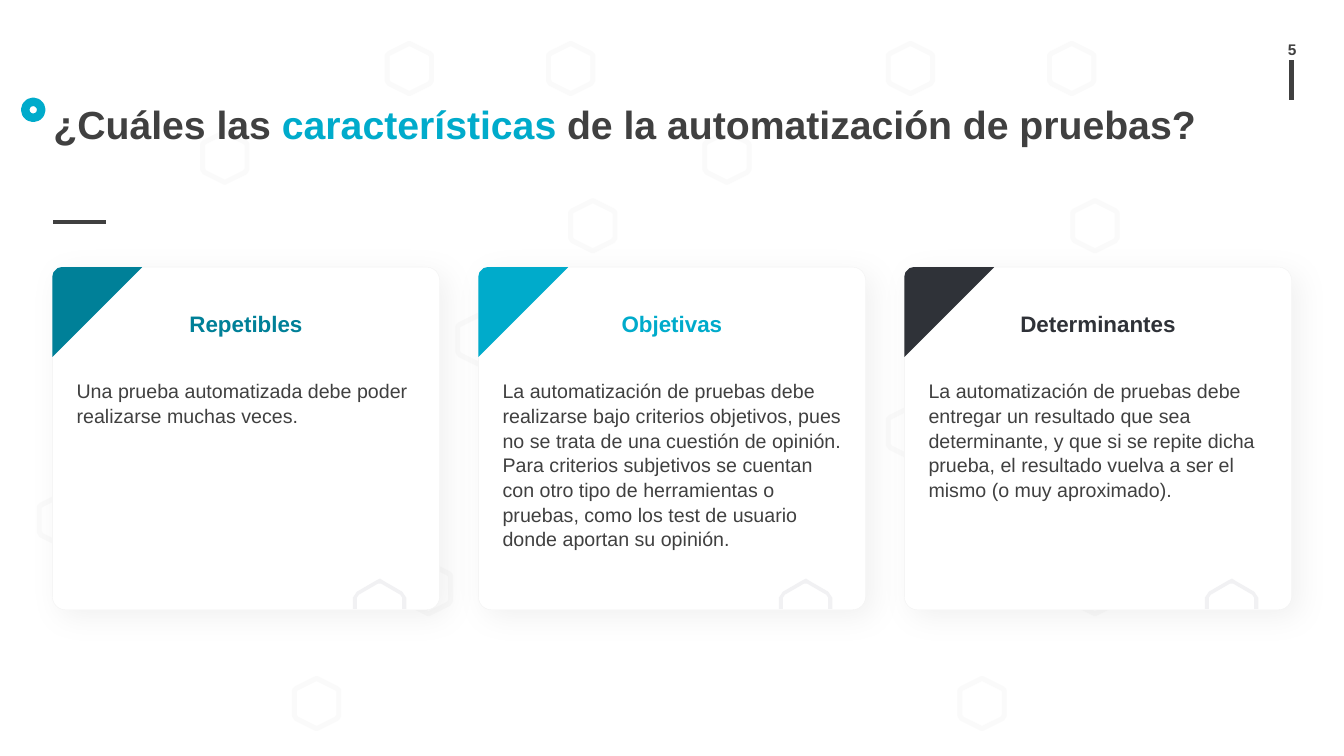
from lxml import etree
from pptx import Presentation, util as u
from pptx.dml.color import RGBColor
from pptx.enum import shapes, text
from pptx.oxml import ns

DARK, CYAN, TEAL, INK = "404040", "00ABCB", "008098", "2F3238"
PALE, CHIP, WHITE = "F2F2F2", "F1F1F3", "FFFFFF"
FONT = "Arial"

HEXAGONS = [
    (10.64, 1.99), (8.81, 0.43), (6.99, 1.31), (10.41, 0.43), (5.66, 1.99),
    (4.54, 3.12), (3.84, 0.43), (2.01, 1.31), (5.44, 0.43), (10.64, 5.59),
    (9.52, 6.73), (8.81, 4.04), (4.03, 5.59), (2.92, 6.73), (0.39, 4.91),
]
HEXAGON = [
    (0.2, 0.01), (0.22, 0), (0.24, 0.01), (0.42, 0.1), (0.44, 0.12),
    (0.44, 0.15), (0.44, 0.35), (0.44, 0.37), (0.42, 0.4), (0.24, 0.49),
    (0.22, 0.5), (0.2, 0.49), (0.02, 0.4), (0, 0.37), (0, 0.35),
    (0, 0.15), (0, 0.12), (0.02, 0.1),
]
CORNER = [(0.09, 0), (0.89, 0), (0, 0.89), (0, 0.09), (0.01, 0.05), (0.03, 0.03), (0.05, 0.01)]
ARCH = [
    (0.04, 0.3), (0.04, 0.19), (0.06, 0.16), (0.25, 0.05), (0.27, 0.05),
    (0.28, 0.05), (0.47, 0.16), (0.49, 0.19), (0.49, 0.3), (0.53, 0.3),
    (0.53, 0.19), (0.49, 0.13), (0.3, 0.02), (0.27, 0), (0.23, 0.02),
    (0.04, 0.13), (0, 0.19), (0, 0.3),
]
CARDS = [
    ("Repetibles", TEAL, "Una prueba automatizada debe poder realizarse muchas veces."),
    ("Objetivas", CYAN,
     "La automatización de pruebas debe realizarse bajo criterios objetivos, pues no se trata de "
     "una cuestión de opinión. Para criterios subjetivos se cuentan con otro tipo de herramientas "
     "o pruebas, como los test de usuario donde aportan su opinión."),
    ("Determinantes", INK,
     "La automatización de pruebas debe entregar un resultado que sea determinante, y que si se "
     "repite dicha prueba, el resultado vuelva a ser el mismo (o muy aproximado)."),
]


def colour(value):
    """Turn a hex string into a colour."""
    return RGBColor.from_string(value)


def inches(*lengths):
    """Turn numbers into lengths."""
    return [u.Inches(length) for length in lengths]


def paint(shape, fill=None, line=None, width=0):
    """Set fill and line, and drop the inherited shadow."""
    shape.shadow.inherit = False
    if fill:
        shape.fill.solid()
        shape.fill.fore_color.rgb = colour(fill)
    else:
        shape.fill.background()
    if line:
        shape.line.color.rgb = colour(line)
        shape.line.width = u.Pt(width)
    else:
        shape.line.fill.background()


def outline(parts, left, top, points):
    """Draw a closed outline whose points are relative to left and top."""
    start, *rest = [inches(left + x, top + y) for x, y in points]
    builder = parts.build_freeform(*start)
    builder.add_line_segments(rest, close=True)
    return builder.convert_to_shape()


def set_frame(shape, insets=(0, 0, 0, 0), anchor=text.MSO_ANCHOR.TOP):
    """Set wrapping, insets and anchor, and return the first paragraph."""
    frame = shape.text_frame
    frame.word_wrap = True
    frame.auto_size = text.MSO_AUTO_SIZE.NONE
    frame.vertical_anchor = anchor
    (frame.margin_left, frame.margin_top,
     frame.margin_right, frame.margin_bottom) = inches(*insets)
    return frame.paragraphs[0]


def write(para, words, size, ink, bold=False):
    """Add one run."""
    span = para.add_run()
    span.text = words
    span.font.name = FONT
    span.font.size = u.Pt(size)
    span.font.bold = bold
    span.font.color.rgb = colour(ink)


def add_rule(page, start, end):
    """Draw a short dark rule."""
    rule = page.shapes.add_connector(shapes.MSO_CONNECTOR.STRAIGHT, *inches(*start, *end))
    rule.line.color.rgb = colour(DARK)
    rule.line.width = u.Pt(3)
    etree.SubElement(rule.element.spPr, ns.qn("a:effectLst"))


def add_background(page):
    """Scatter the faint hexagons."""
    for left, top in HEXAGONS:
        hexagon = outline(page.shapes, left, top, HEXAGON)
        paint(hexagon, line=PALE, width=3.5)
        tint = hexagon.line._get_or_add_ln().find(".//" + ns.qn("a:srgbClr"))
        etree.SubElement(tint, ns.qn("a:alpha"), val="37000")


def add_heading(page, left, top, width, height):
    """Place the title with its ring and rule."""
    add_rule(page, (left, top + 1.21), (left + 0.52, top + 1.21))
    ring = page.shapes.add_shape(
        shapes.MSO_SHAPE.OVAL, *inches(left - 0.28, top + 0.02, 0.16, 0.16))
    paint(ring, line=CYAN, width=6)
    title = page.shapes.title
    title.left, title.top, title.width, title.height = inches(left, top, width, height)
    title.element.getparent().append(title.element)
    para = set_frame(title)
    para.alignment = text.PP_ALIGN.LEFT
    write(para, "¿Cuáles las ", 28, DARK, True)
    write(para, "características", 28, CYAN, True)
    write(para, " de la automatización de pruebas?", 28, DARK, True)


def add_page_number(page, left, top, width, height):
    """Place the page number above its rule."""
    box = page.shapes.add_textbox(*inches(left, top, width, height))
    para = set_frame(box, (0.1, 0.05, 0.1, 0.05), text.MSO_ANCHOR.MIDDLE)
    para.alignment = text.PP_ALIGN.CENTER
    write(para, "5", 11, DARK, True)
    add_rule(page, (left + 0.26, top + 0.62), (left + 0.26, top + height))


def add_soft_shadow(shape):
    """Give a shape a wide, faint shadow to the lower right."""
    effects = shape.element.spPr.find(ns.qn("a:effectLst"))
    shadow = etree.SubElement(
        effects, ns.qn("a:outerShdw"), blurRad=str(u.Pt(22)), dist=str(u.Pt(7)),
        dir="2700000", algn="tl", rotWithShape="0")
    tint = etree.SubElement(shadow, ns.qn("a:srgbClr"), val="000000")
    etree.SubElement(tint, ns.qn("a:alpha"), val="5000")


def add_card(page, left, top, width, height, heading, accent, words):
    """Place one card with heading, text, coloured corner and hexagon tip."""
    parts = page.shapes.add_group_shape().shapes
    panel = parts.add_shape(
        shapes.MSO_SHAPE.ROUNDED_RECTANGLE, *inches(left, top, width, height))
    panel.adjustments[0] = 0.038
    paint(panel, WHITE, PALE, 0.25)
    add_soft_shadow(panel)
    para = set_frame(panel, (0.1, 0.39, 0.1, 0.1))
    para.alignment = text.PP_ALIGN.CENTER
    write(para, heading, 16, accent, True)

    box = parts.add_textbox(*inches(left + 0.24, top + 1.1, width - 0.47, 1.65))
    para = set_frame(box)
    para.line_spacing = 1.05
    write(para, words, 14, DARK)

    paint(outline(parts, left, top, CORNER), accent)
    paint(outline(parts, left + 2.98, top + height - 0.31, ARCH), CHIP)


def main():
    """Build and save the slide."""
    deck = Presentation()
    deck.slide_width, deck.slide_height = inches(13.33, 7.5)
    page = deck.slides.add_slide(deck.slide_layouts[5])
    add_background(page)
    add_heading(page, 0.53, 0.99, 11.42, 0.97)
    add_page_number(page, 12.55, 0.37, 0.53, 0.23)
    first, last = 0.52, 8.97
    pitch = (last - first) / (len(CARDS) - 1)
    for index, card in enumerate(CARDS):
        add_card(page, first + index * pitch, 2.65, 3.84, 3.4, *card)
    deck.save("out.pptx")


if __name__ == "__main__":
    main()
